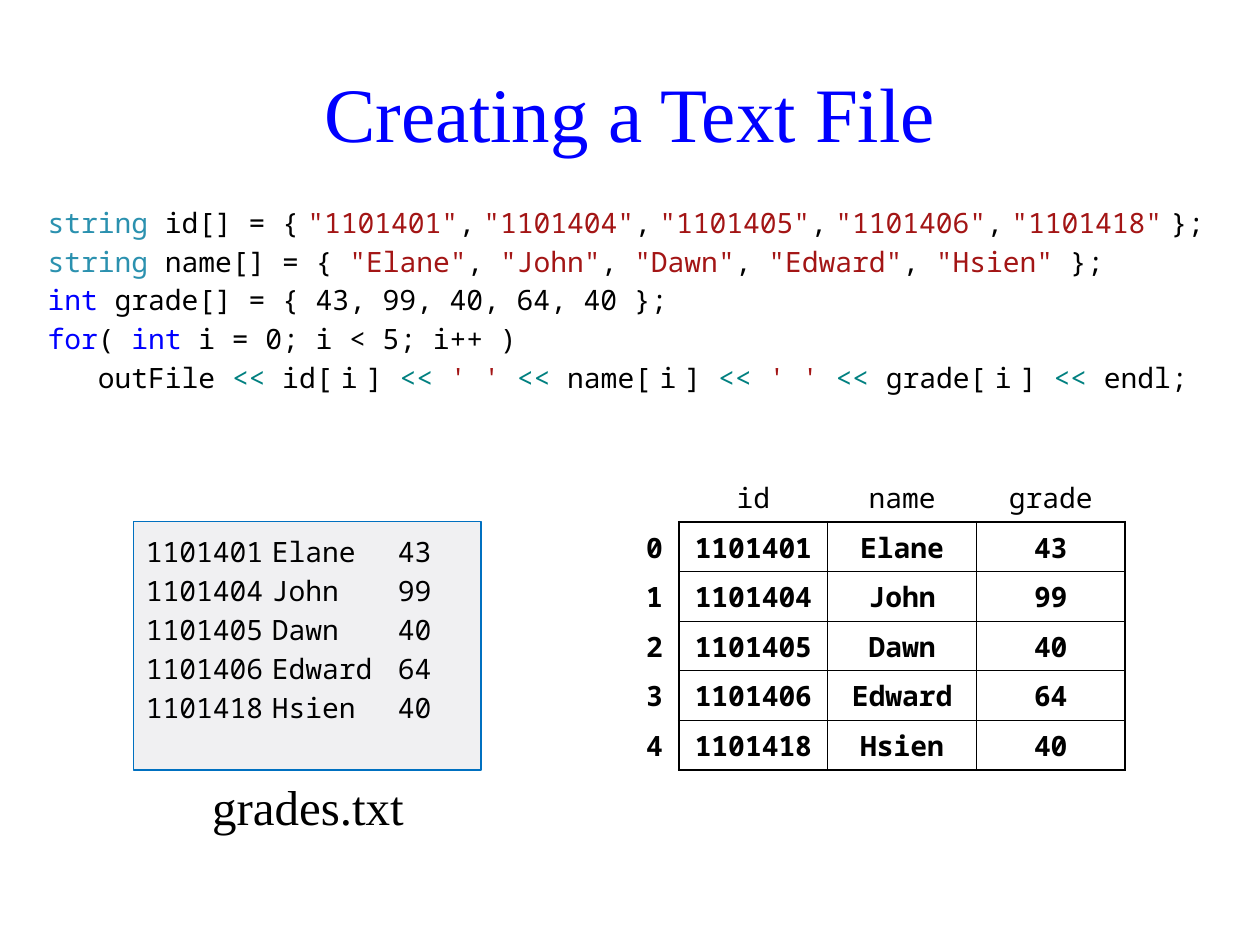
from lxml.etree import SubElement
from pptx import Presentation
from pptx.dml.color import RGBColor
from pptx.enum.shapes import MSO_SHAPE as Shape
from pptx.enum.text import MSO_ANCHOR as Anchor, PP_ALIGN as Align
from pptx.oxml.ns import qn
from pptx.util import Inches, Pt

MONO = "Noto Sans Mono"
SERIF = "Times New Roman"
BLACK, BLUE, TEAL, RED, GREEN = "000000", "0000FF", "2B91AF", "A31515", "008080"
KEYWORDS = {"string": TEAL, "int": BLUE, "for": BLUE, "<<": GREEN}
THIN = "~"

RECORDS = [
    ("1101401", "Elane", "43"),
    ("1101404", "John", "99"),
    ("1101405", "Dawn", "40"),
    ("1101406", "Edward", "64"),
    ("1101418", "Hsien", "40"),
]


def color(hex_value):
    return RGBColor.from_string(hex_value)


def write(paragraph, text, size=16, font=MONO, fill=BLACK, bold=False, align=Align.LEFT):
    paragraph.alignment = align
    run = paragraph.add_run()
    run.text = text
    run.font.size = Pt(size)
    run.font.name = font
    run.font.bold = bold
    run.font.color.rgb = color(fill)


def write_code(paragraph, line):
    for token in line.split("|"):
        if token == THIN:
            write(paragraph, " ", size=8)
        elif token[0] in "\"'":
            write(paragraph, token, fill=RED)
        else:
            write(paragraph, token, fill=KEYWORDS.get(token.strip(), BLACK))


def edge_weight(edge, last):
    if edge == 0:
        return 0
    return 1.5 if edge in (1, last) else 0.75


def set_border(cell, side, weight):
    line = SubElement(cell._tc.get_or_add_tcPr(), qn(f"a:ln{side}"))
    if not weight:
        SubElement(line, qn("a:noFill"))
        return
    line.set("w", str(Pt(weight)))
    fill = SubElement(line, qn("a:solidFill"))
    SubElement(fill, qn("a:srgbClr")).set("val", BLACK)


class SlideBuilder:
    def __init__(self, presentation):
        self.slide = presentation.slides.add_slide(presentation.slide_layouts[5])

    def title(self, text, left, top, width, height):
        title = self.slide.shapes.title
        title.left, title.top = Inches(left), Inches(top)
        title.width, title.height = Inches(width), Inches(height)
        title.text_frame.vertical_anchor = Anchor.MIDDLE
        write(title.text_frame.paragraphs[0], text, size=44, font=SERIF, fill=BLUE, align=Align.CENTER)

    def lines(self, frame, lines, writer, space_before):
        for index, line in enumerate(lines):
            paragraph = frame.add_paragraph() if index else frame.paragraphs[0]
            paragraph.space_before = Pt(space_before)
            writer(paragraph, line)

    def code(self, lines, left, top, width, height):
        box = self.slide.shapes.add_textbox(Inches(left), Inches(top), Inches(width), Inches(height))
        box.text_frame.word_wrap = True
        self.lines(box.text_frame, lines, write_code, 3)

    def file_box(self, lines, left, top, width, height):
        shape = self.slide.shapes.add_shape(
            Shape.RECTANGLE, Inches(left), Inches(top), Inches(width), Inches(height))
        shape.shadow.inherit = False
        shape.fill.solid()
        shape.fill.fore_color.rgb = color("F0F0F2")
        shape.line.color.rgb = color("0070C0")
        shape.line.width = Pt(1)
        frame = shape.text_frame
        frame.vertical_anchor = Anchor.TOP
        frame.margin_left = frame.margin_right = Inches(0.1)
        frame.margin_top = frame.margin_bottom = Inches(0.1)
        self.lines(frame, lines, write, 3.2)

    def caption(self, text, left, top, width, height):
        box = self.slide.shapes.add_textbox(Inches(left), Inches(top), Inches(width), Inches(height))
        box.text_frame.word_wrap = False
        write(box.text_frame.paragraphs[0], text, size=28, font=SERIF, align=Align.CENTER)

    def table(self, rows, column_widths, left, top, height):
        row_count, column_count = len(rows), len(column_widths)
        table = self.slide.shapes.add_table(
            row_count, column_count, Inches(left), Inches(top),
            Inches(sum(column_widths)), Inches(height)).table
        table.first_row = table.horz_banding = False
        for column, width in zip(table.columns, column_widths):
            column.width = Inches(width)
        for row_index, row in enumerate(rows):
            for column_index, text in enumerate(row):
                cell = table.cell(row_index, column_index)
                cell.vertical_anchor = Anchor.MIDDLE
                cell.margin_top, cell.margin_bottom = Inches(0.05), Inches(0.04)
                for side, edge in (("L", column_index), ("R", column_index + 1)):
                    set_border(cell, side, edge_weight(edge, column_count) if row_index else 0)
                for side, edge in (("T", row_index), ("B", row_index + 1)):
                    set_border(cell, side, edge_weight(edge, row_count) if column_index else 0)
                cell.fill.background()
                paragraph = cell.text_frame.paragraphs[0]
                if text:
                    write(paragraph, text, bold=row_index > 0, align=Align.CENTER)
                else:
                    paragraph.font.size = Pt(16)


def main():
    presentation = Presentation()
    presentation.slide_width, presentation.slide_height = Inches(10), Inches(7.5)
    ids, names, grades = zip(*RECORDS)
    quoted_ids = "|,|~|".join(f'"{value}"' for value in ids)
    quoted_names = "|, |".join(f'"{value}"' for value in names)
    fields = "|<< |' ' |<<|".join(f" {field}[|~|i|~|] " for field in ("id", "name", "grade"))
    code = [
        f"string| id[] = {{|~|{quoted_ids}|~|}};",
        f"string| name[] = {{ |{quoted_names}| }};",
        f"int| grade[] = {{ {', '.join(grades)} }};",
        "for|( |int| i = 0; i < 5; i++ )",
        f"   outFile |<<|{fields}|<<| endl;",
    ]
    rows = [("", "id", "name", "grade")]
    rows += [(str(index), *record) for index, record in enumerate(RECORDS)]

    builder = SlideBuilder(presentation)
    builder.title("Creating a Text File", 0.47, 0.4, 9.06, 0.98)
    builder.code(code, 0.28, 1.58, 9.45, 1.77)
    builder.file_box(["\t".join(record) for record in RECORDS], 1.06, 4.14, 2.76, 1.97)
    builder.caption("grades.txt", 1.46, 6.11, 1.97, 0.59)
    builder.table(rows, [0.39, 1.18, 1.18, 1.18], 5, 3.75, 2.36)
    presentation.save("out.pptx")


if __name__ == "__main__":
    main()
